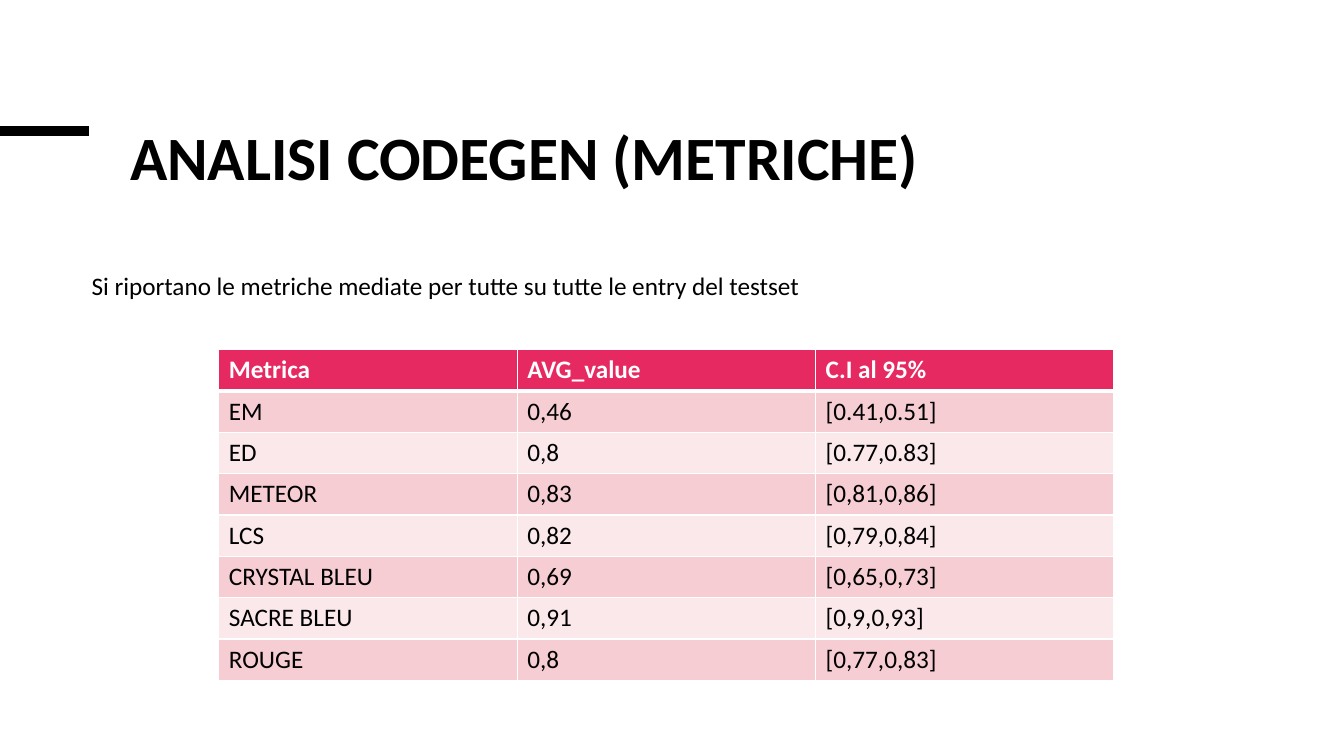
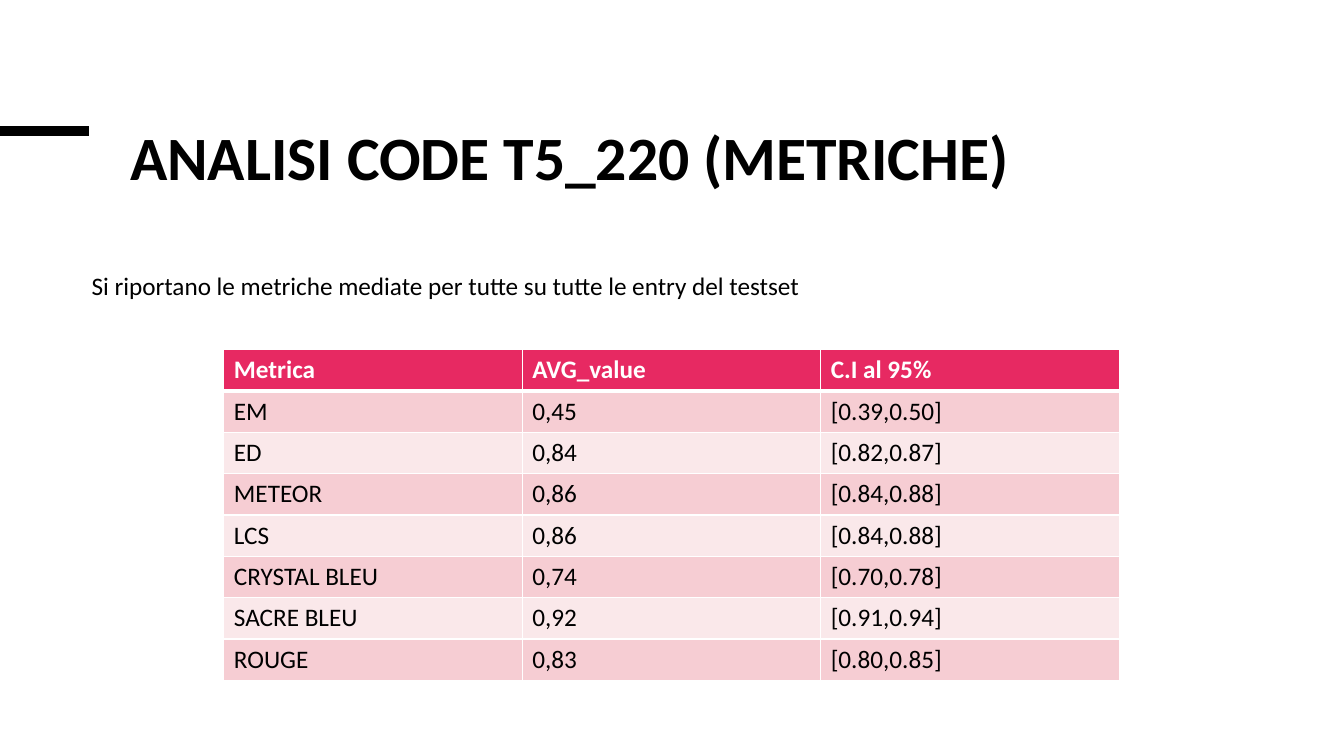
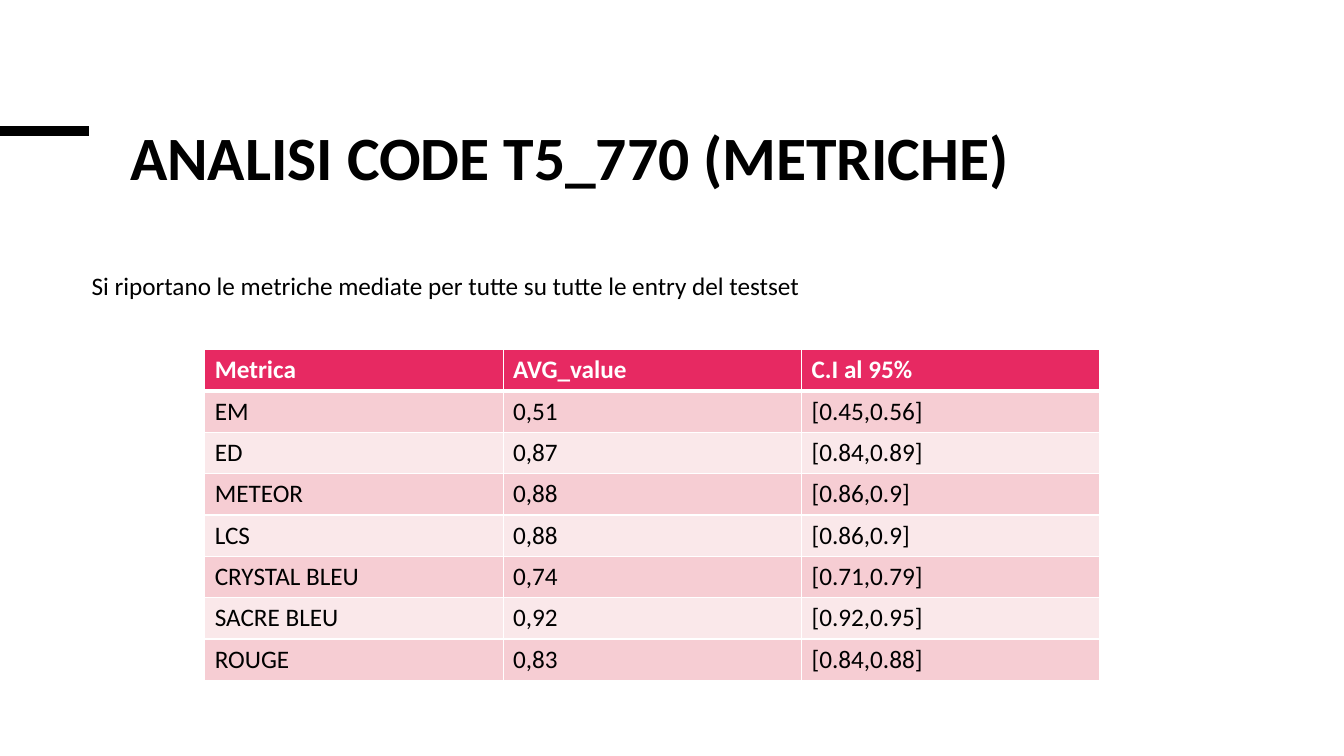
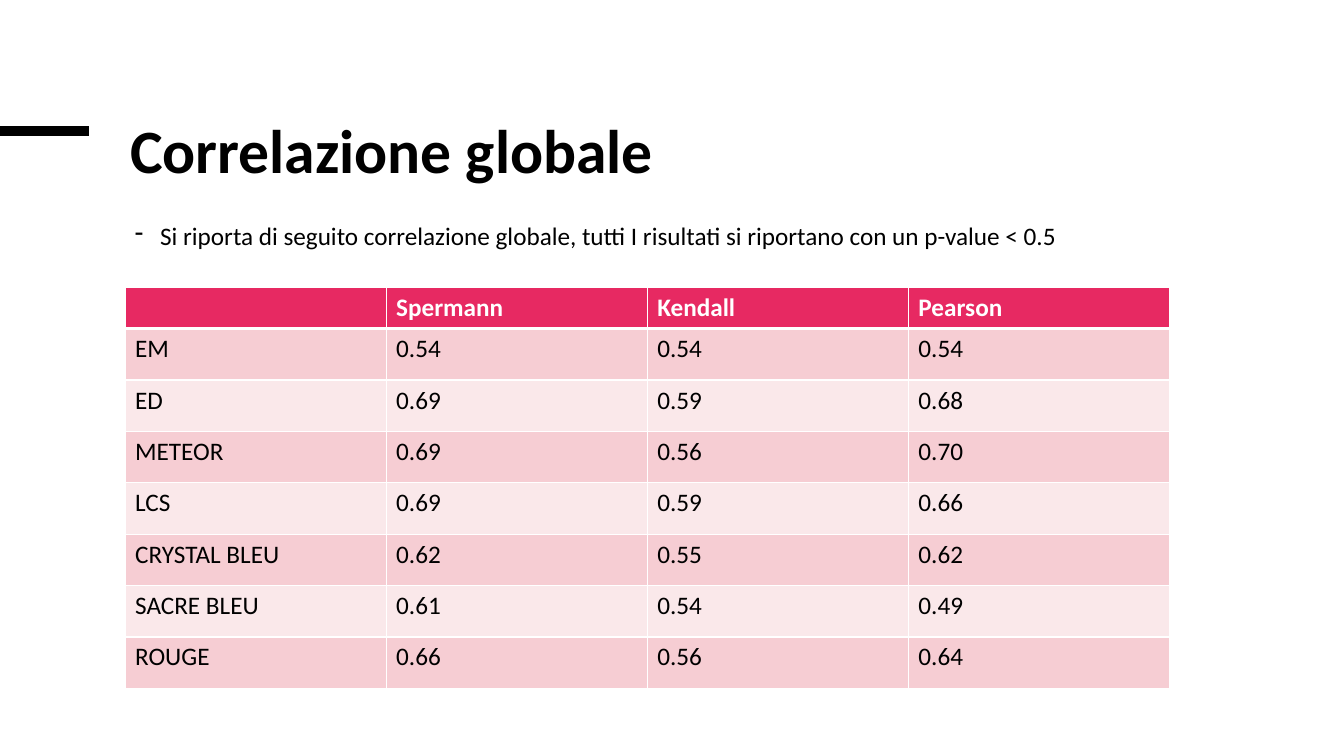
import lxml.etree
import pptx
import pptx.dml.color
import pptx.enum.shapes
import pptx.enum.text
import pptx.oxml
import pptx.oxml.ns
import pptx.util

PX = 9144
BLACK = pptx.dml.color.RGBColor(0x00, 0x00, 0x00)
WHITE = pptx.dml.color.RGBColor(0xFF, 0xFF, 0xFF)
CRIMSON = pptx.dml.color.RGBColor(0xE7, 0x29, 0x62)
ROSE = pptx.dml.color.RGBColor(0xF6, 0xCD, 0xD3)
BLUSH = pptx.dml.color.RGBColor(0xFA, 0xE8, 0xEA)

METRICS = ["EM", "ED", "METEOR", "LCS", "CRYSTAL BLEU", "SACRE BLEU", "ROUGE"]
AVERAGES_INTRO = "Si riportano le metriche mediate per tutte su tutte le entry del testset"
AVERAGES_HEADER = ["Metrica", "AVG_value", "C.I al 95%"]

MODELS = [
    ("ANALISI CODEGEN (METRICHE)", 1085, 217,
     ["0,46", "0,8", "0,83", "0,82", "0,69", "0,91", "0,8"],
     ["[0.41,0.51]", "[0.77,0.83]", "[0,81,0,86]", "[0,79,0,84]",
      "[0,65,0,73]", "[0,9,0,93]", "[0,77,0,83]"]),
    ("ANALISI CODE T5_220 (METRICHE)", 1164, 222,
     ["0,45", "0,84", "0,86", "0,86", "0,74", "0,92", "0,83"],
     ["[0.39,0.50]", "[0.82,0.87]", "[0.84,0.88]", "[0.84,0.88]",
      "[0.70,0.78]", "[0.91,0.94]", "[0.80,0.85]"]),
    ("ANALISI CODE T5_770 (METRICHE)", 1164, 203,
     ["0,51", "0,87", "0,88", "0,88", "0,74", "0,92", "0,83"],
     ["[0.45,0.56]", "[0.84,0.89]", "[0.86,0.9]", "[0.86,0.9]",
      "[0.71,0.79]", "[0.92,0.95]", "[0.84,0.88]"]),
]

SPEARMAN = ["0.54", "0.69", "0.69", "0.69", "0.62", "0.61", "0.66"]
KENDALL = ["0.54", "0.59", "0.56", "0.59", "0.55", "0.54", "0.56"]
PEARSON = ["0.54", "0.68", "0.70", "0.66", "0.62", "0.49", "0.64"]


def px(length):
    return pptx.util.Emu(length * PX)


class Deck:
    font = "Calibri"
    title_size = 44
    text_size = 18

    def __init__(self):
        self.presentation = pptx.Presentation()
        self.presentation.slide_width = px(1333)
        self.presentation.slide_height = px(750)
        self.slide = None

    def add_slide(self, title, top=119, width=1085):
        self.slide = self.presentation.slides.add_slide(self.presentation.slide_layouts[5])
        self.rule()
        heading = self.slide.shapes.title
        heading.left, heading.top, heading.width, heading.height = (
            px(119), px(top), px(width), px(142))
        frame = heading.text_frame
        frame.word_wrap = True
        frame.auto_size = pptx.enum.text.MSO_AUTO_SIZE.NONE
        frame.vertical_anchor = pptx.enum.text.MSO_ANCHOR.TOP
        frame.margin_top = px(10)
        paragraph = frame.paragraphs[0]
        paragraph.alignment = pptx.enum.text.PP_ALIGN.LEFT
        paragraph.line_spacing = 0.85
        self.run(paragraph, title, self.title_size, bold=True)

    def rule(self):
        rule = self.slide.shapes.add_connector(
            pptx.enum.shapes.MSO_CONNECTOR.STRAIGHT, px(0), px(130), px(88), px(130))
        rule.line.color.rgb = BLACK
        rule.line.width = pptx.util.Pt(6.75)
        lxml.etree.SubElement(rule.element.spPr, pptx.oxml.ns.qn("a:effectLst"))

    def run(self, paragraph, text, size, color=BLACK, bold=False):
        run = paragraph.add_run()
        run.text = text
        run.font.name = self.font
        run.font.size = pptx.util.Pt(size)
        run.font.bold = bold
        run.font.color.rgb = color

    def intro(self, text, left, top, width, height, bullet=None):
        box = self.slide.shapes.add_textbox(px(left), px(top), px(width), px(height))
        box.text_frame.word_wrap = True
        paragraph = box.text_frame.paragraphs[0]
        paragraph.line_spacing = 1.3
        paragraph.space_before = pptx.util.Pt(10)
        if bullet:
            properties = paragraph._p.get_or_add_pPr()
            properties.set("marL", str(px(25)))
            properties.set("indent", str(px(-25)))
            mark = lxml.etree.SubElement(properties, pptx.oxml.ns.qn("a:buChar"))
            mark.set("char", bullet)
        self.run(paragraph, text, self.text_size)

    def table(self, header, columns, left, top, column_width, header_height, row_height):
        rows = [header, *zip(*columns)]
        heights = [header_height] + [row_height] * (len(rows) - 1)
        table = self.slide.shapes.add_table(
            len(rows), len(header), px(left), px(top),
            px(column_width * len(header)), px(sum(heights))).table
        for column in table.columns:
            column.width = px(column_width)
        for r, (values, height) in enumerate(zip(rows, heights)):
            table.rows[r].height = px(height)
            for c, value in enumerate(values):
                self.cell(table.cell(r, c), value, r)

    def cell(self, cell, value, row):
        is_header = row == 0
        cell.fill.solid()
        cell.fill.fore_color.rgb = CRIMSON if is_header else (BLUSH, ROSE)[row % 2]
        self.borders(cell, top=3 if row == 1 else 1, bottom=3 if is_header else 1)
        if value:
            self.run(cell.text_frame.paragraphs[0], value, self.text_size,
                     WHITE if is_header else BLACK, is_header)

    def borders(self, cell, top, bottom):
        properties = cell._tc.get_or_add_tcPr()
        sides = [("L", 1), ("R", 1), ("T", top), ("B", bottom)]
        for position, (side, points) in enumerate(sides):
            properties.insert(position, pptx.oxml.parse_xml(
                f'<a:ln{side} {pptx.oxml.ns.nsdecls("a")} w="{pptx.util.Pt(points)}">'
                f'<a:solidFill><a:srgbClr val="{WHITE}"/></a:solidFill></a:ln{side}>'))


def main():
    deck = Deck()
    for title, title_width, table_left, averages, intervals in MODELS:
        deck.add_slide(title, width=title_width)
        deck.intro(AVERAGES_INTRO, 81, 254, 1134, 121)
        deck.table(AVERAGES_HEADER, [METRICS, averages, intervals],
                   table_left, 347, 296, 41, 41)

    deck.add_slide("Correlazione globale", top=112)
    deck.intro("Si riporta di seguito correlazione globale, tutti I risultati "
               "si riportano con un p-value < 0.5", 124, 205, 1085, 420, bullet="-")
    deck.table(["", "Spermann", "Kendall", "Pearson"],
               [METRICS, SPEARMAN, KENDALL, PEARSON], 124, 285, 259, 41, 51)
    deck.presentation.save("out.pptx")


if __name__ == "__main__":
    main()
